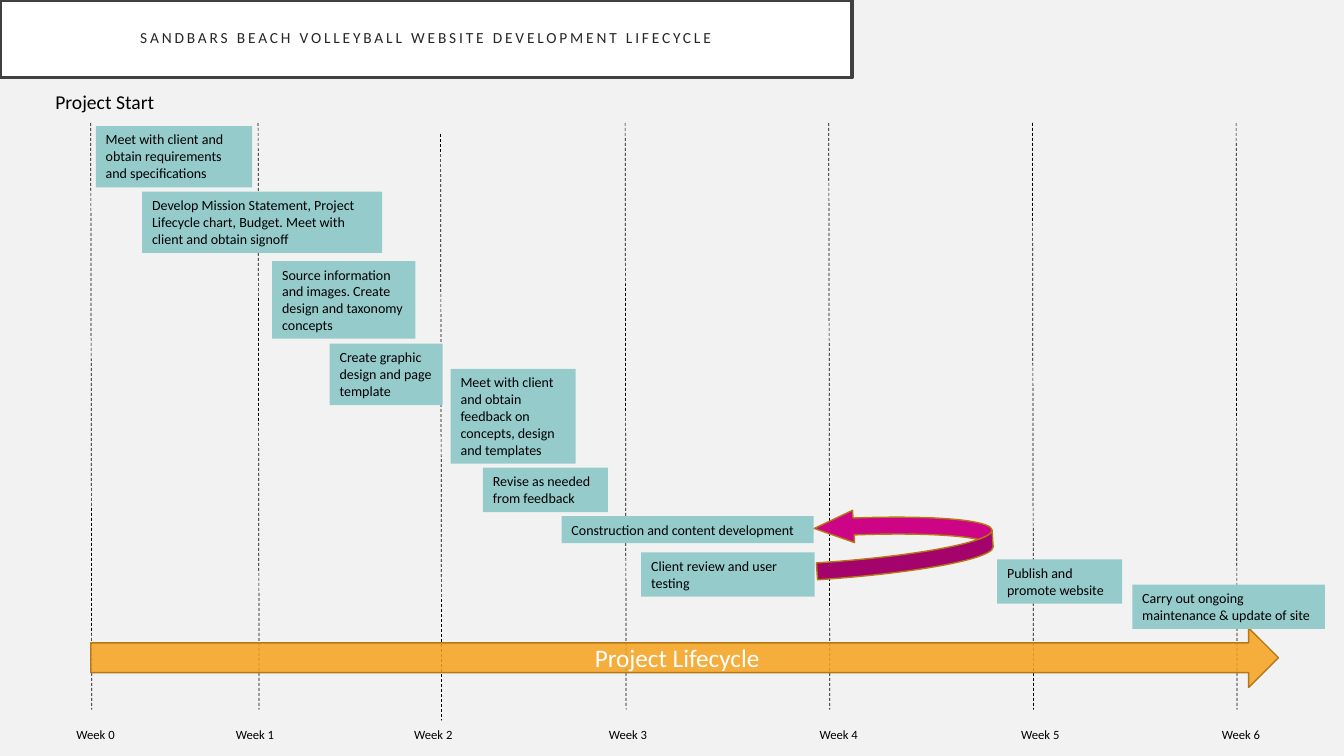
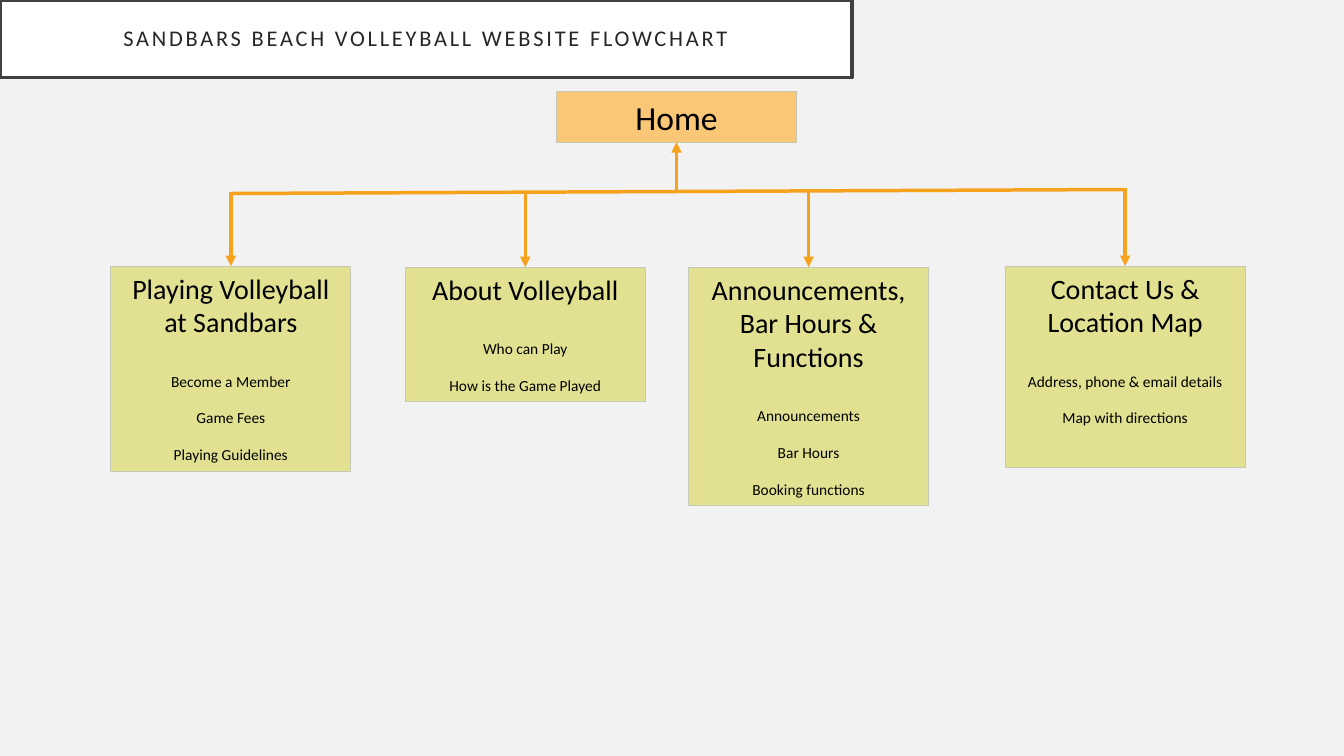
from dataclasses import dataclass

from lxml import etree
from pptx import Presentation
from pptx.dml.color import RGBColor
from pptx.enum.dml import MSO_LINE
from pptx.enum.shapes import MSO_CONNECTOR, MSO_SHAPE
from pptx.enum.text import MSO_ANCHOR, MSO_AUTO_SIZE, PP_ALIGN
from pptx.oxml.ns import qn
from pptx.shapes.autoshape import Shape
from pptx.shapes.connector import Connector
from pptx.slide import Slide
from pptx.text.text import _Paragraph as Paragraph
from pptx.util import Inches, Pt

STRAIGHT = MSO_CONNECTOR.STRAIGHT
DASH = MSO_LINE.DASH
RECTANGLE = MSO_SHAPE.RECTANGLE
RIGHT_ARROW = MSO_SHAPE.RIGHT_ARROW
CURVED_ARROW = MSO_SHAPE.CURVED_UP_ARROW
LEFT, CENTER = PP_ALIGN.LEFT, PP_ALIGN.CENTER
TOP, MIDDLE = MSO_ANCHOR.TOP, MSO_ANCHOR.MIDDLE
NO_AUTOFIT = MSO_AUTO_SIZE.NONE

FONT = "Calibri"
COLORS = {
    "background": "F2F2F2",
    "white": "FFFFFF",
    "black": "000000",
    "title_text": "262626",
    "title_border": "404040",
    "task": "96CBCC",
    "orange": "F6A21D",
    "arrow_border": "B67815",
    "feedback": "CC0485",
    "home": "FAC777",
    "page": "E1E191",
    "page_border": "C4C8B5",
}
TITLE_ONLY_LAYOUT = 5
PAGE_WIDTH = 2.38
TOP_SIDE, BOTTOM_SIDE = 0, 2


@dataclass(frozen=True)
class Box:
    left: float
    top: float
    width: float
    height: float


@dataclass(frozen=True)
class Week:
    line_x: float
    label_x: float
    drop: float = 0.0


@dataclass(frozen=True)
class Task:
    text: str
    box: Box


@dataclass(frozen=True)
class Page:
    heading: str
    items: tuple[str, ...]
    box: Box
    branch_y: float


WEEKS = (
    Week(0.9, 0.66),
    Week(2.56, 2.24),
    Week(4.37, 4.01, 0.11),
    Week(6.2, 5.94),
    Week(8.22, 8.03),
    Week(10.24, 10.03),
    Week(12.26, 12.02),
)
TASKS = (
    Task("Meet with client and obtain requirements and specifications", Box(0.95, 1.25, 1.55, 0.61)),
    Task(
        "Develop Mission Statement, Project Lifecycle chart, Budget. Meet with client and obtain signoff",
        Box(1.41, 1.9, 2.38, 0.61),
    ),
    Task("Source information and images. Create design and taxonomy concepts", Box(2.7, 2.59, 1.42, 0.77)),
    Task("Create graphic design and page template", Box(3.27, 3.41, 1.12, 0.61)),
    Task("Meet with client and obtain feedback on concepts, design and templates", Box(4.47, 3.66, 1.24, 0.94)),
    Task("Revise as needed from feedback", Box(4.79, 4.64, 1.24, 0.44)),
    Task("Construction and content development", Box(5.57, 5.12, 2.5, 0.27)),
    Task("Client review and user testing", Box(6.36, 5.48, 1.72, 0.44)),
    Task("Publish and promote website", Box(9.89, 5.55, 1.24, 0.44)),
    Task("Carry out ongoing maintenance & update of site", Box(11.23, 5.8, 1.91, 0.44)),
)
PAGES = (
    Page(
        "Playing Volleyball at Sandbars",
        ("Become a Member", "Game Fees", "Playing Guidelines"),
        Box(1.1, 2.64, PAGE_WIDTH, 2.04),
        1.9,
    ),
    Page(
        "About Volleyball",
        ("Who can Play", "How is the Game Played"),
        Box(4.02, 2.65, PAGE_WIDTH, 1.33),
        1.91,
    ),
    Page(
        "Announcements, Bar Hours & Functions",
        ("Announcements", "Bar Hours", "Booking functions"),
        Box(6.83, 2.65, PAGE_WIDTH, 2.37),
        1.88,
    ),
    Page(
        "Contact Us & Location Map",
        ("Address, phone & email details", "Map with directions"),
        Box(9.97, 2.64, PAGE_WIDTH, 2.0),
        1.87,
    ),
)


def color(name: str) -> RGBColor:
    return RGBColor.from_string(COLORS[name])


def place(box: Box) -> tuple[int, int, int, int]:
    return Inches(box.left), Inches(box.top), Inches(box.width), Inches(box.height)


def format_paragraph(paragraph: Paragraph, size: float, ink: str = "black", align: PP_ALIGN = LEFT) -> None:
    paragraph.alignment = align
    paragraph.font.name = FONT
    paragraph.font.size = Pt(size)
    paragraph.font.color.rgb = color(ink)


def write(
    shape: Shape, text: str, size: float, ink: str = "black", align: PP_ALIGN = LEFT, anchor: MSO_ANCHOR = TOP
) -> None:
    frame = shape.text_frame
    frame.word_wrap = True
    frame.auto_size = NO_AUTOFIT
    frame.vertical_anchor = anchor
    frame.text = text
    format_paragraph(frame.paragraphs[0], size, ink, align)


def paint(shape: Shape, fill: str, border: str | None = None, weight: float = 1) -> None:
    shape.fill.solid()
    shape.fill.fore_color.rgb = color(fill)
    if border:
        shape.line.color.rgb = color(border)
        shape.line.width = Pt(weight)
    else:
        shape.line.fill.background()


def add_figure(
    slide: Slide, kind: MSO_SHAPE, box: Box, fill: str, border: str | None = None, weight: float = 1
) -> Shape:
    shape = slide.shapes.add_shape(kind, *place(box))
    shape.shadow.inherit = False
    paint(shape, fill, border, weight)
    return shape


def add_label(slide: Slide, text: str, box: Box, size: float) -> None:
    write(slide.shapes.add_textbox(*place(box)), text, size)


def add_line(
    slide: Slide, start: tuple[int, int], end: tuple[int, int], ink: str, weight: float, dashed: bool = False
) -> Connector:
    connector = slide.shapes.add_connector(STRAIGHT, *start, *end)
    connector.line.color.rgb = color(ink)
    connector.line.width = Pt(weight)
    if dashed:
        connector.line.dash_style = DASH
    etree.SubElement(connector._element.spPr, qn("a:effectLst"))
    return connector


def add_branch(slide: Slide, target: Shape, side: int, branch_y: float) -> None:
    x = target.left + target.width // 2
    y = target.top + (target.height if side == BOTTOM_SIDE else 0)
    branch = add_line(slide, (x, Inches(branch_y)), (x, y), "orange", 2.5)
    branch.end_connect(target, side)
    outline = branch._element.spPr.find(qn("a:ln"))
    etree.SubElement(outline, qn("a:tailEnd"), type="triangle")


def add_titled_slide(prs: Presentation, heading: str, size: float) -> Slide:
    slide = prs.slides.add_slide(prs.slide_layouts[TITLE_ONLY_LAYOUT])
    title = slide.shapes.title
    title.left, title.top, title.width, title.height = place(Box(0, 0, 8.45, 0.77))
    paint(title, "white", "title_border", 2.5)
    write(title, heading, size, "title_text", CENTER, MIDDLE)
    frame = title.text_frame
    frame.margin_left = frame.margin_right = frame.margin_top = frame.margin_bottom = Inches(0.2)
    paragraph = frame.paragraphs[0]
    paragraph.line_spacing = 0.9
    paragraph.runs[0]._r.get_or_add_rPr().set("spc", "200")
    return slide


def build_lifecycle(prs: Presentation) -> None:
    slide = add_titled_slide(prs, "SANDBARS BEACH VOLLEYBALL WEBSITE DEVELOPMENT LIFECYCLE", 11)
    for number, week in enumerate(WEEKS):
        start = Inches(week.line_x), Inches(1.22 + week.drop)
        end = Inches(week.line_x + 0.01), Inches(7.04 + week.drop)
        add_line(slide, start, end, "black", 0.5, dashed=True)
        add_label(slide, f"Week {number}", Box(week.label_x, 7.16, 0.85, 0.25), 9)

    lifecycle = add_figure(slide, RIGHT_ARROW, Box(0.9, 6.23, 11.78, 0.59), "orange", "arrow_border")
    fill_color = lifecycle._element.spPr.find(qn("a:solidFill"))[0]
    etree.SubElement(fill_color, qn("a:alpha"), val="86000")
    write(lifecycle, "Project Lifecycle", 18, "white", CENTER, MIDDLE)

    add_label(slide, "Project Start", Box(0.45, 0.84, 1.27, 0.34), 14)
    for task in TASKS:
        write(add_figure(slide, RECTANGLE, task.box, "task"), task.text, 10)

    feedback = add_figure(slide, CURVED_ARROW, Box(8.63, 4.48, 0.67, 1.76), "feedback", "arrow_border")
    feedback.rotation = 266.3
    for index, value in enumerate((0.25, 0.478, 0.584)):
        feedback.adjustments[index] = value


def add_page(slide: Slide, page: Page) -> Shape:
    card = add_figure(slide, RECTANGLE, page.box, "page", "page_border", 0.75)
    write(card, page.heading, 20, align=CENTER)
    for index, item in enumerate(page.items):
        paragraph = card.text_frame.add_paragraph()
        paragraph.text = item
        paragraph.space_before = Pt(13 if index else 24)
        format_paragraph(paragraph, 11, align=CENTER)
    return card


def build_flowchart(prs: Presentation) -> None:
    slide = add_titled_slide(prs, "SANDBARS BEACH VOLLEYBALL WEBSITE FLOWCHART", 16)
    home = add_figure(slide, RECTANGLE, Box(5.52, 0.91, PAGE_WIDTH, 0.5), "home", "page_border", 0.75)
    write(home, "Home", 24, align=CENTER)
    add_line(slide, (Inches(2.3), Inches(1.92)), (Inches(11.15), Inches(1.88)), "orange", 2.5)
    add_branch(slide, home, BOTTOM_SIDE, 1.91)
    for page in PAGES:
        add_branch(slide, add_page(slide, page), TOP_SIDE, page.branch_y)


def main() -> None:
    prs = Presentation()
    prs.slide_width, prs.slide_height = Inches(13.33), Inches(7.5)
    backdrop = prs.slide_master.background.fill
    backdrop.solid()
    backdrop.fore_color.rgb = color("background")
    build_lifecycle(prs)
    build_flowchart(prs)
    prs.save("out.pptx")


if __name__ == "__main__":
    main()
